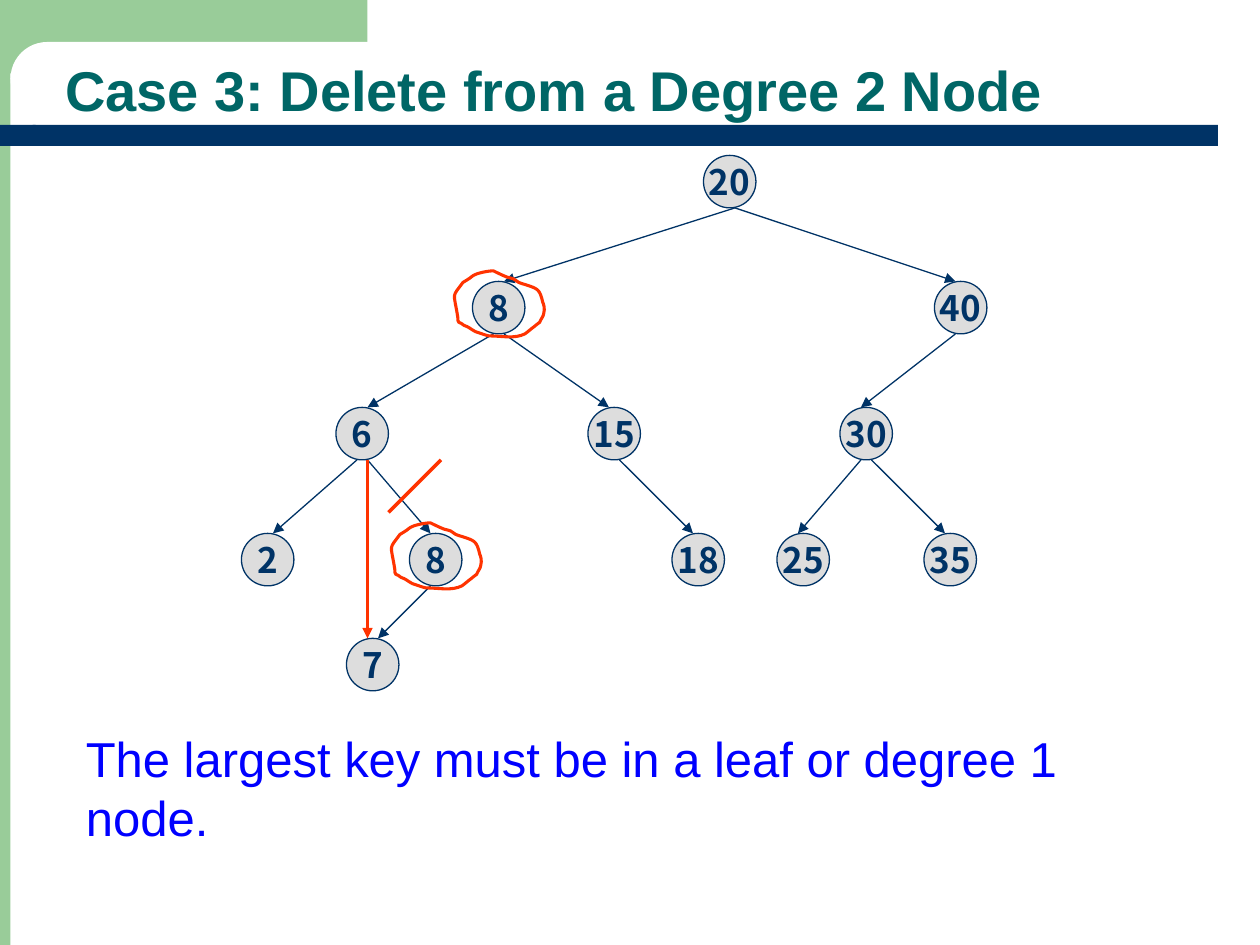
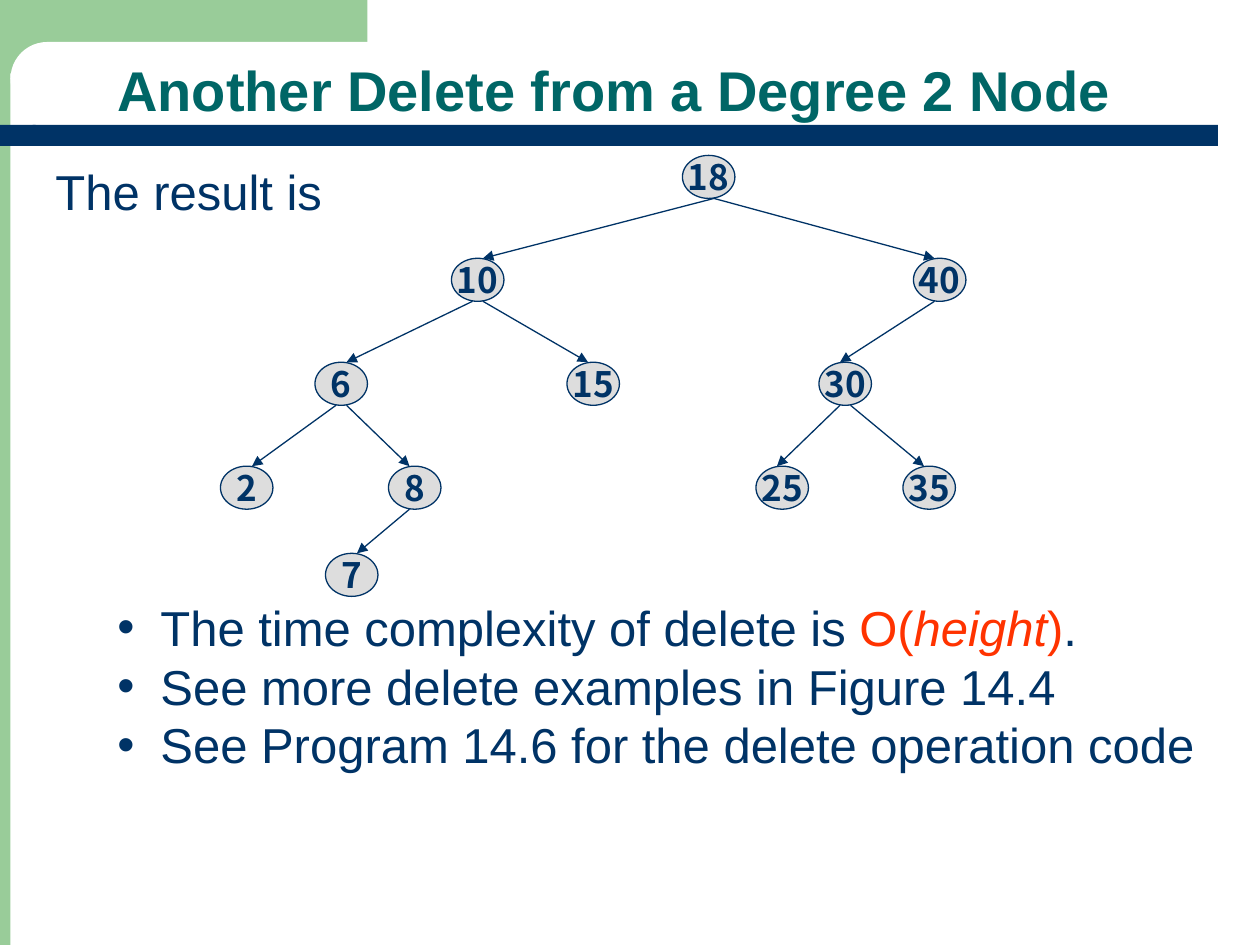
from dataclasses import dataclass

from lxml import etree
from pptx import Presentation
from pptx.dml.color import RGBColor
from pptx.enum.shapes import MSO_CONNECTOR, MSO_SHAPE
from pptx.enum.text import MSO_ANCHOR, MSO_AUTO_SIZE, PP_ALIGN
from pptx.oxml.ns import qn
from pptx.util import Emu, Pt

RECT, ROUND_RECT, OVAL = MSO_SHAPE.RECTANGLE, MSO_SHAPE.ROUNDED_RECTANGLE, MSO_SHAPE.OVAL
DELAY = MSO_SHAPE.FLOWCHART_DELAY
STRAIGHT = MSO_CONNECTOR.STRAIGHT
LEFT, CENTER = PP_ALIGN.LEFT, PP_ALIGN.CENTER
MIDDLE, BOTTOM = MSO_ANCHOR.MIDDLE, MSO_ANCHOR.BOTTOM
FIXED = MSO_AUTO_SIZE.NONE

PX = 7620  # EMU per px, 120 px to the inch
PAGE_WIDTH, PAGE_HEIGHT = 1200, 900
TITLE_ONLY = 5
NODE_WIDTH = 50
NUDGE = 5  # distance of an arrow's end from the node's centre line
BULLET_INDENT = 41

# place in the tree: (left, level, parent)
TREE = {
    "root": (670, 0, None),
    "left": (450, 1, "root"),
    "right": (890, 1, "root"),
    "left_left": (320, 2, "left"),
    "left_right": (560, 2, "left"),
    "right_left": (800, 2, "right"),
    "leaf_a": (230, 3, "left_left"),
    "leaf_b": (390, 3, "left_left"),
    "leaf_c": (640, 3, "left_right"),
    "leaf_d": (740, 3, "right_left"),
    "leaf_e": (880, 3, "right_left"),
    "lowest": (330, 4, "leaf_b"),
}

# hand-drawn ring: two control points and an end point for each curve
RING_START = (40, 0)
RING_CURVES = [
    ((35, 0), (24, 2), (20, 5)),
    ((18, 7), (11, 11), (11, 11)),
    ((0, 26), (2, 19), (6, 44)),
    ((6, 47), (6, 48), (7, 49)),
    ((8, 50), (11, 50), (12, 52)),
    ((16, 53), (19, 56), (23, 58)),
    ((26, 59), (29, 60), (32, 61)),
    ((34, 62), (37, 62), (37, 62)),
    ((48, 62), (60, 65), (70, 60)),
    ((73, 58), (76, 55), (79, 53)),
    ((80, 52), (84, 49), (84, 49)),
    ((85, 46), (88, 43), (88, 40)),
    ((89, 36), (88, 32), (87, 30)),
    ((84, 17), (82, 17), (70, 13)),
    ((67, 12), (66, 12), (64, 11)),
    ((58, 7), (61, 8), (53, 6)),
    ((48, 4), (44, 2), (40, 0)),
]


@dataclass(frozen=True)
class Theme:
    navy: str = "003366"
    green: str = "99CC99"
    teal: str = "006666"
    gray: str = "DDDDDD"
    red: str = "FF3300"
    blue: str = "0000FF"
    white: str = "FFFFFF"
    text_font: str = "Arial"
    node_font: str = "Noto Sans CJK KR"
    title_size: int = 32
    body_size: int = 28
    node_size: int = 20
    thin: float = 0.75
    ring: float = 1.75
    arrow: float = 1.5
    slash: float = 2


THEME = Theme()


def color(value):
    return RGBColor.from_string(value)


def px(*lengths):
    return [Emu(length * PX) for length in lengths]


def write(para, text, size=THEME.body_size, font=THEME.text_font, ink=THEME.navy,
          bold=False, italic=False, align=LEFT):
    para.alignment = align
    span = para.add_run()
    span.text = text
    span.font.size = Pt(size)
    span.font.name = font
    span.font.bold = bold
    span.font.italic = italic
    span.font.color.rgb = color(ink)


def add_bullet(para):
    props = para._p.get_or_add_pPr()
    indent = BULLET_INDENT * PX
    props.set("marL", str(indent))
    props.set("indent", str(-indent))
    ink = etree.SubElement(props, qn("a:buClr"))
    etree.SubElement(ink, qn("a:srgbClr"), val=THEME.navy)
    etree.SubElement(props, qn("a:buFont"), typeface=THEME.text_font)
    etree.SubElement(props, qn("a:buChar"), char="•")


def bend(outline):
    """Turn every three straight segments of a freeform into one cubic curve."""
    segments = list(outline.element.iter(qn("a:lnTo")))
    for first in range(0, len(segments), 3):
        curve = etree.Element(qn("a:cubicBezTo"))
        segments[first].addprevious(curve)
        for segment in segments[first:first + 3]:
            curve.append(segment[0])
            segment.getparent().remove(segment)


class Deck:
    """Holds the theme and the slide being drawn."""

    def __init__(self, theme):
        self.theme = theme
        self.deck = Presentation()
        self.deck.slide_width, self.deck.slide_height = px(PAGE_WIDTH, PAGE_HEIGHT)
        self.page = None

    def new_page(self, title, left, width, align):
        theme = self.theme
        self.page = self.deck.slides.add_slide(self.deck.slide_layouts[TITLE_ONLY])
        self.bands()
        box = self.page.shapes.title
        box.element.getparent().append(box.element)  # in front of the bands
        box.left, box.top, box.width, box.height = px(left, 44, width, 80)
        frame = box.text_frame
        frame.auto_size = FIXED
        frame.vertical_anchor = BOTTOM
        para = frame.paragraphs[0]
        para.line_spacing = 0.9
        write(para, title, size=theme.title_size, ink=theme.teal, bold=True, align=align)

    def bands(self):
        theme = self.theme
        self.shape(RECT, -70, 0, 80, PAGE_HEIGHT, theme.green)
        self.shape(RECT, -20, 0, 370, 70, theme.green)
        corner = self.shape(ROUND_RECT, 10, 40, 670, 70, theme.white)
        corner.adjustments[0] = 0.5
        bar = self.shape(ROUND_RECT, 31, 119, 1129, 20, theme.navy)
        bar.adjustments[0] = 0
        bar_end = self.shape(DELAY, -30, 119, 64, 20, theme.navy)
        bar_end.element.spPr.find(qn("a:xfrm")).set("flipH", "1")

    def shape(self, kind, left, top, width, height, fill, line=None):
        box = self.page.shapes.add_shape(kind, *px(left, top, width, height))
        box.shadow.inherit = False
        box.fill.solid()
        box.fill.fore_color.rgb = color(fill)
        if line:
            box.line.color.rgb = color(line)
            box.line.width = Pt(self.theme.thin)
        else:
            box.line.fill.background()
        return box

    def node(self, label, left, top, height):
        theme = self.theme
        box = self.shape(OVAL, left, top, NODE_WIDTH, height, theme.gray, theme.navy)
        frame = box.text_frame
        frame.word_wrap = False
        frame.vertical_anchor = MIDDLE
        write(frame.paragraphs[0], label, size=theme.node_size, font=theme.node_font,
              bold=True, align=CENTER)

    def line(self, start, end, ink=THEME.navy, weight=THEME.thin, arrow=True):
        link = self.page.shapes.add_connector(STRAIGHT, *px(*start, *end))
        link.line.color.rgb = color(ink)
        link.line.width = Pt(weight)
        if arrow:
            etree.SubElement(link.line._get_or_add_ln(), qn("a:tailEnd"), type="triangle")
        etree.SubElement(link.element.spPr, qn("a:effectLst"))

    def tree(self, labels, levels, height, shift=0):
        """Draw the labelled places of TREE and an arrow from each parent."""
        for name, label in labels.items():
            left, level, _ = TREE[name]
            self.node(label, left + shift, levels[level], height)
        root_left = TREE["root"][0]
        for name in labels:
            left, level, parent = TREE[name]
            if parent is None:
                continue
            parent_left, parent_level, _ = TREE[parent]
            goes_left = left < parent_left
            leaves = -NUDGE if goes_left and parent != "root" else NUDGE
            lands = NUDGE if goes_left and left < root_left else -NUDGE
            middle = shift + NODE_WIDTH // 2
            self.line((parent_left + middle + leaves, levels[parent_level] + height),
                      (left + middle + lands, levels[level]))

    def ring(self, left, top):
        start, *points = [(left + x, top + y) for x, y in [RING_START, *sum(RING_CURVES, ())]]
        builder = self.page.shapes.build_freeform(*start, scale=PX)
        builder.add_line_segments(points, close=True)
        outline = builder.convert_to_shape()
        bend(outline)
        outline.shadow.inherit = False
        outline.fill.background()
        outline.line.color.rgb = color(self.theme.red)
        outline.line.width = Pt(self.theme.ring)

    def text(self, paragraphs, left, top, width, height, bullets=False):
        """Add a text box; each paragraph is a list of (text, format) pairs."""
        box = self.page.shapes.add_textbox(*px(left, top, width, height))
        frame = box.text_frame
        frame.word_wrap = True
        for index, spans in enumerate(paragraphs):
            para = frame.add_paragraph() if index else frame.paragraphs[0]
            if bullets:
                add_bullet(para)
            for text, style in spans:
                write(para, text, **style)


def draw_case_three(deck):
    theme = deck.theme
    deck.new_page("Case 3: Delete from a Degree 2 Node", 50, 1100, LEFT)
    labels = dict(zip(TREE, "20 8 40 6 15 30 2 8 18 25 35 7".split()))
    deck.tree(labels, levels=(148, 268, 388, 508, 608), height=50)
    deck.ring(430, 258)
    deck.ring(370, 498)
    deck.text([[("The largest key must be in a leaf or degree 1 node.", {"ink": theme.blue})]],
              70, 688, 1070, 125)
    deck.line((350, 438), (350, 608), theme.red, theme.arrow)
    deck.line((370, 488), (420, 438), theme.red, theme.slash, arrow=False)


def draw_result(deck):
    red = {"ink": deck.theme.red}
    deck.new_page("Another Delete from a Degree 2 Node", 30, 1110, CENTER)
    deck.text([
        [("The time complexity of delete is ", {}), ("O(", red),
         ("height", {**red, "italic": True}), (")", red), (".", {})],
        [("See more delete examples in Figure 14.4", {})],
        [("See Program 14.6 for the delete operation code", {})],
    ], 100, 563, 1055, 180, bullets=True)
    places = [name for name in TREE if name != "leaf_c"]
    labels = dict(zip(places, "18 10 40 6 15 30 2 8 25 35 7".split()))
    deck.tree(labels, levels=(148, 246, 345, 444, 527), height=41, shift=-20)
    deck.text([[("The result is", {})]], 41, 148, 280, 68)


def main():
    deck = Deck(THEME)
    draw_case_three(deck)
    draw_result(deck)
    deck.deck.save("out.pptx")


if __name__ == "__main__":
    main()
